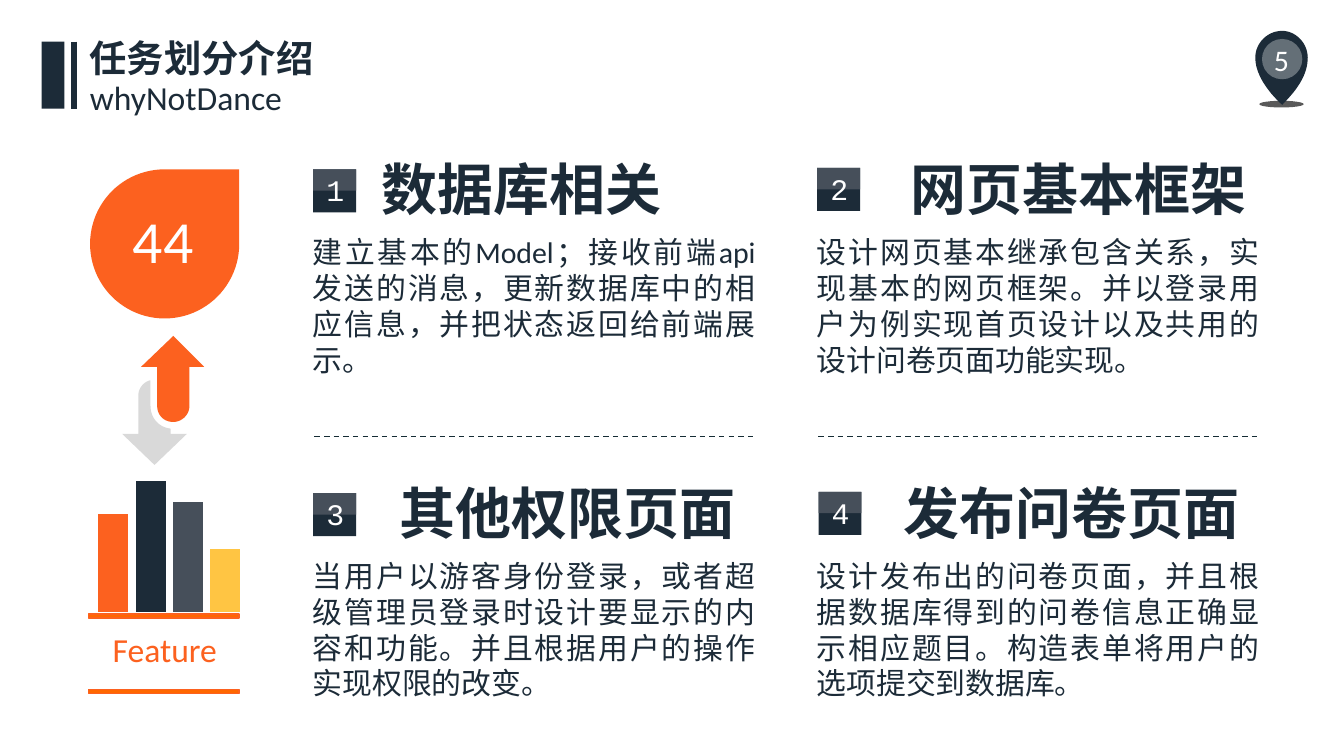
from dataclasses import dataclass

from lxml import etree
from pptx import Presentation
from pptx.chart import data
from pptx.dml import color
from pptx.enum import chart as ch, dml, shapes, text
from pptx.oxml import ns
from pptx.util import Inches, Pt

NAVY, SLATE, ORANGE = "1C2B38", "464F5A", "FC611F"
WHITE, GREY, GOLD = "FFFFFF", "D9D9D9", "FFC543"
Shape = shapes.MSO_SHAPE
Align = text.PP_ALIGN


@dataclass
class Task:
    num: int
    x: float
    y: float
    head: str
    head_x: float
    head_w: float
    body: str


TASKS = [
    Task(1, 2.33, 1.26, "数据库相关 ", 2.73, 2.4,
         "建立基本的Model；接收前端api发送的消息，更新数据库中的相应信息，并把状态返回给前端展示。"),
    Task(2, 6.08, 1.25, "网页基本框架", 6.66, 2.73,
         "设计网页基本继承包含关系，实现基本的网页框架。并以登录用户为例实现首页设计以及共用的设计问卷页面功能实现。"),
    Task(3, 2.33, 3.67, "其他权限页面", 2.86, 2.73,
         "当用户以游客身份登录，或者超级管理员登录时设计要显示的内容和功能。并且根据用户的操作实现权限的改变。"),
    Task(4, 6.09, 3.66, "发布问卷页面", 6.61, 2.73,
         "设计发布出的问卷页面，并且根据数据库得到的问卷信息正确显示相应题目。构造表单将用户的选项提交到数据库。"),
]

# Outlines: a pair is a straight line, six numbers are a Bezier curve.
PIN = [(9.73, 0.43), (9.73, 0.32, 9.64, 0.23, 9.54, 0.23),
       (9.43, 0.23, 9.34, 0.32, 9.34, 0.43),
       (9.34, 0.61, 9.54, 0.78, 9.54, 0.78),
       (9.66, 0.66, 9.73, 0.55, 9.73, 0.43)]
UP = [(1.17, 2.73), (1.05, 2.73), (1.29, 2.5), (1.52, 2.73), (1.41, 2.73),
      (1.41, 3.02), (1.41, 3.09, 1.35, 3.14, 1.29, 3.14),
      (1.22, 3.14, 1.17, 3.09, 1.17, 3.02)]
DOWN = [(1.12, 3.02), (1.12, 2.83), (1.07, 2.84, 1.03, 2.89, 1.03, 2.94),
        (1.03, 3.23), (0.91, 3.23), (1.15, 3.46), (1.39, 3.23), (1.27, 3.23),
        (1.27, 3.19), (1.18, 3.18, 1.12, 3.11, 1.12, 3.02)]


def paint(part, tone: str) -> None:
    """Give a fill, line or font color one solid colour."""
    part.solid()
    part.fore_color.rgb = color.RGBColor.from_string(tone)


def plain(shape, tone: str):
    shape.shadow.inherit = False
    paint(shape.fill, tone)
    shape.line.fill.background()
    return shape


def block(host, kind, x: float, y: float, w: float, h: float, tone: str):
    shape = host.add_shape(kind, Inches(x), Inches(y), Inches(w), Inches(h))
    return plain(shape, tone)


def write(host, words: str, x: float, y: float, w: float, h: float, *,
          size: int, tone: str = NAVY, font: str = "Calibri",
          bold: bool = False, align=Align.LEFT, wrap: bool = False,
          anchor=text.MSO_ANCHOR.TOP) -> None:
    box = host.add_textbox(Inches(x), Inches(y), Inches(w), Inches(h))
    frame = box.text_frame
    frame.word_wrap = wrap
    frame.auto_size = text.MSO_AUTO_SIZE.NONE
    frame.vertical_anchor = anchor
    para = frame.paragraphs[0]
    para.alignment = align
    run = para.add_run()
    run.text = words
    run.font.size, run.font.name, run.font.bold = Pt(size), font, bold
    paint(run.font.fill, tone)


def rule(host, x1: float, y1: float, x2: float, y2: float, tone: str,
         width: float, dash: bool = False) -> None:
    line = host.add_connector(shapes.MSO_CONNECTOR.STRAIGHT, Inches(x1),
                              Inches(y1), Inches(x2), Inches(y2))
    paint(line.line.fill, tone)
    line.line.width = Pt(width)
    if dash:
        line.line.dash_style = dml.MSO_LINE.DASH
    etree.SubElement(line._element.spPr, ns.qn("a:effectLst"))


def outline(host, steps: list, tone: str, parts: int = 16) -> None:
    """Draw a closed shape, with its curves cut into short lines."""
    spots = [steps[0]]
    for step in steps[1:]:
        if len(step) == 2:
            spots.append(step)
            continue
        knots = [spots[-1], step[:2], step[2:4], step[4:]]
        for i in range(1, parts + 1):
            t = i / parts
            mix = ((1 - t) ** 3, 3 * t * (1 - t) ** 2,
                   3 * t * t * (1 - t), t ** 3)
            spots.append(tuple(sum(m * k[a] for m, k in zip(mix, knots))
                               for a in (0, 1)))
    emus = [(Inches(x), Inches(y)) for x, y in spots]
    pen = host.build_freeform(*emus[0])
    pen.add_line_segments(emus[1:], close=True)
    plain(pen.convert_to_shape(), tone)


def header(host) -> None:
    block(host, Shape.OVAL, 9.37, 0.75, 0.33, 0.05, "595959")
    outline(host, PIN, NAVY)
    disc = block(host, Shape.OVAL, 9.39, 0.29, 0.3, 0.3, WHITE)
    tint = disc._element.spPr.find(".//" + ns.qn("a:srgbClr"))
    etree.SubElement(tint, ns.qn("a:alpha"), val="32000")
    write(host, "5", 9.34, 0.29, 0.39, 0.3, size=16, tone=WHITE,
          align=Align.CENTER, anchor=text.MSO_ANCHOR.MIDDLE)
    block(host, Shape.RECTANGLE, 0.31, 0.31, 0.17, 0.5, NAVY)
    rule(host, 0.55, 0.31, 0.55, 0.81, NAVY, 3)
    write(host, "任务划分介绍", 0.56, 0.21, 1.88, 0.44, size=20,
          font="Courier New", bold=True, align=Align.CENTER)
    write(host, "whyNotDance", 0.57, 0.52, 1.65, 0.4, size=18)


def bars(host) -> None:
    feed = data.CategoryChartData()
    feed.categories = ["1", "2", "3", "4"]
    feed.add_series("Series 1", (75, 100, 84, 48))
    chart = host.add_chart(ch.XL_CHART_TYPE.COLUMN_CLUSTERED, Inches(0.68),
                           Inches(3.36), Inches(1.16), Inches(1.22),
                           feed).chart
    chart.has_legend = chart.has_title = False
    chart.font.size, chart.font.name = Pt(18), "Calibri"
    paint(chart.font.fill, "000000")
    chart.category_axis.visible = False
    axis = chart.value_axis
    axis.visible = axis.has_major_gridlines = False
    axis.minimum_scale, axis.maximum_scale = 0, 120
    axis.tick_labels.number_format = "0%"
    axis.tick_labels.number_format_is_linked = False
    plot = chart.plots[0]
    plot.gap_width, plot.vary_by_categories = 25, False
    for i, tone in enumerate((ORANGE, NAVY, SLATE, GOLD)):
        paint(plot.series[0].points[i].format.fill, tone)


def side(host) -> None:
    outline(host, UP, ORANGE)
    outline(host, DOWN, GREY)
    block(host, Shape.TEAR, 0.67, 1.26, 1.11, 1.11, ORANGE)
    write(host, "44", 0.89, 1.47, 0.66, 0.64, size=32, tone=WHITE)
    bars(host)
    for y in (4.57, 5.13):
        bar = block(host, Shape.RECTANGLE, 0.66, y, 1.12, 0.03, "FF6700")
        paint(bar.line.fill, ORANGE)
        bar.line.width = Pt(0.75)
    write(host, "Feature", 0.74, 4.63, 0.99, 0.4, size=18, tone=ORANGE)


def panel(host, task: Task) -> None:
    badge = host.add_group_shape().shapes
    block(badge, Shape.RECTANGLE, task.x, task.y, 0.32, 0.32, NAVY)
    block(badge, Shape.RECTANGLE, task.x, task.y, 0.32, 0.16, SLATE)
    write(badge, str(task.num), task.x, task.y - 0.03, 0.33, 0.37, size=16,
          tone=WHITE, font="Courier New")
    top = 1.1 if task.num < 3 else 3.51
    write(host, task.head, task.head_x, top, task.head_w, 0.61, size=30,
          bold=True, align=Align.CENTER)
    left = 2.23 if task.num % 2 else 5.98
    write(host, task.body, left, top + 0.59, 3.49, 1.18, size=16,
          align=Align.JUSTIFY, wrap=True)


def main() -> None:
    deck = Presentation()
    deck.slide_width = Inches(10)
    deck.slide_height = deck.slide_width * 9 // 16
    host = deck.slides.add_slide(deck.slide_layouts[6]).shapes
    header(host)
    side(host)
    for task in TASKS:
        panel(host, task)
    for x in (2.34, 6.09):
        rule(host, x, 3.25, x + 3.27, 3.25, "152C34", 0.75, dash=True)
    deck.save("out.pptx")


if __name__ == "__main__":
    main()
